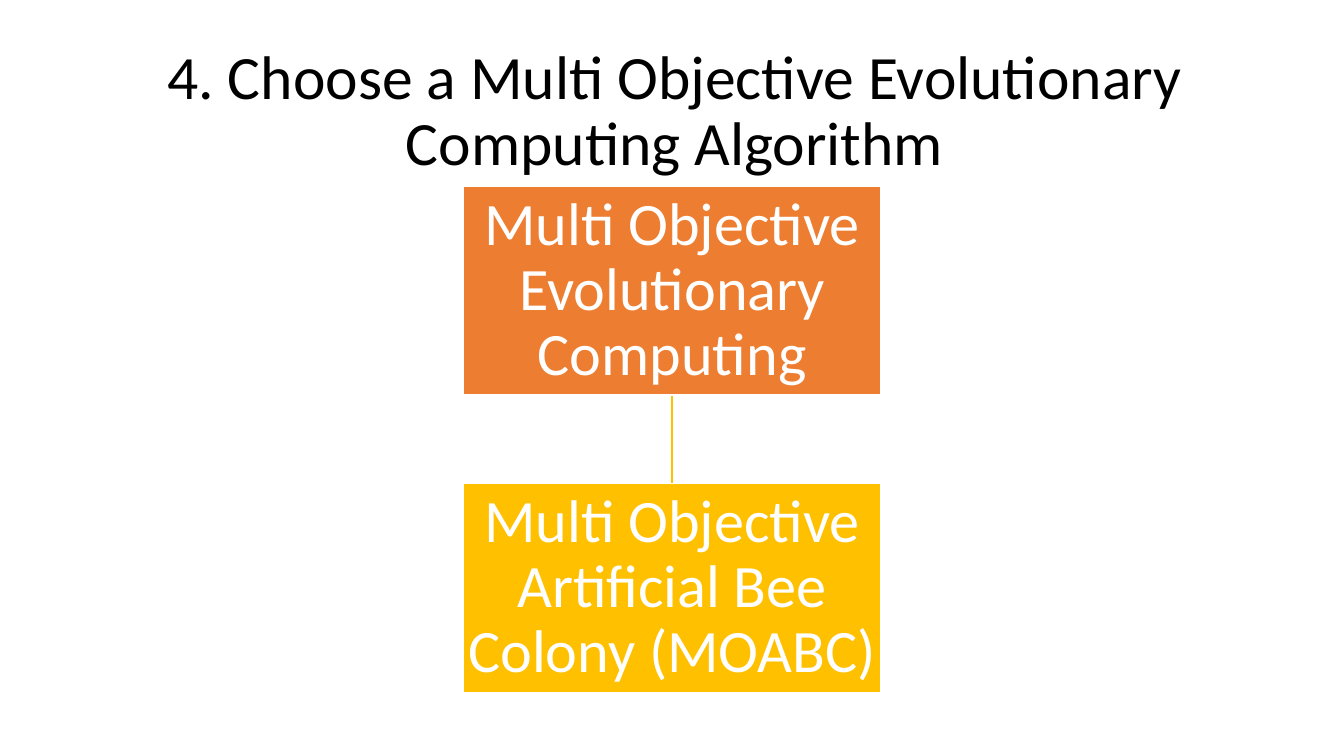
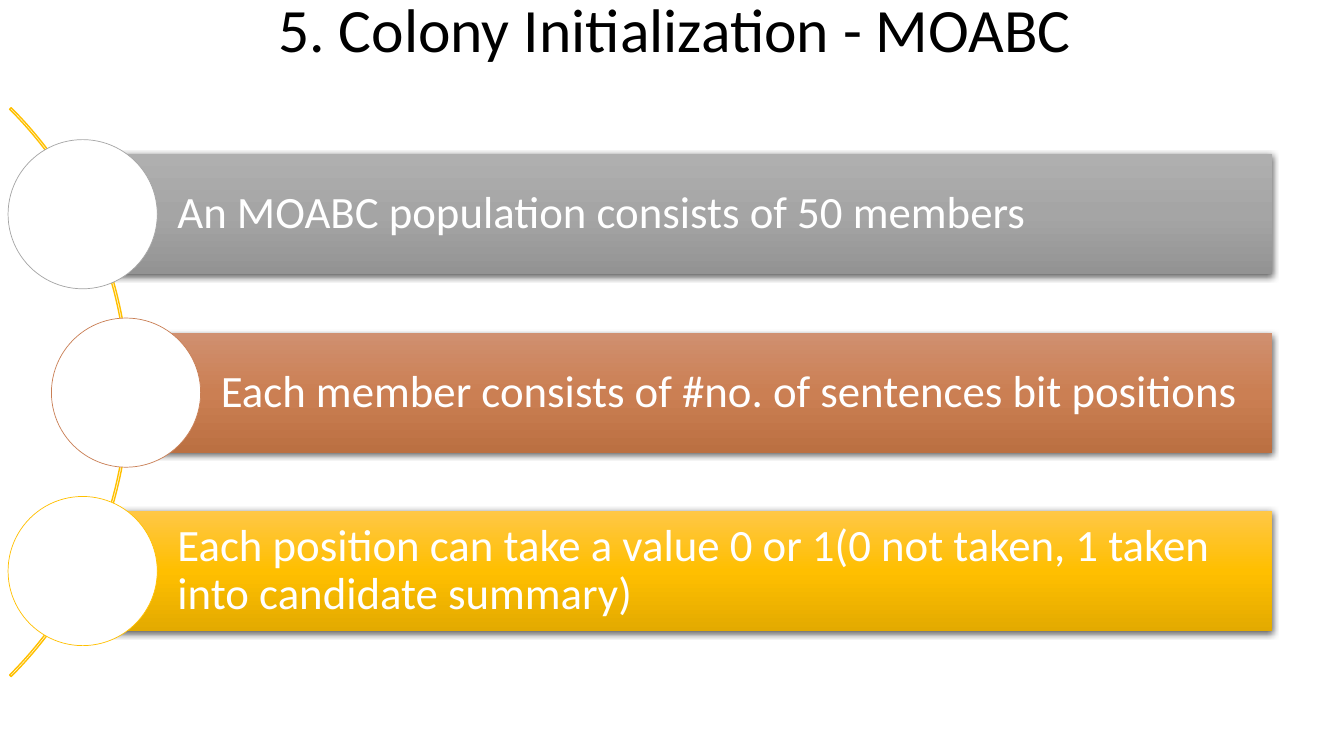
from lxml import etree
from pptx import Presentation
from pptx.dml.color import RGBColor
from pptx.enum.shapes import MSO_CONNECTOR, MSO_SHAPE
from pptx.enum.text import MSO_ANCHOR, MSO_AUTO_SIZE, PP_ALIGN
from pptx.oxml import parse_xml
from pptx.oxml.ns import nsdecls, qn
from pptx.util import Inches, Pt

COLORS = {
    "black": "000000",
    "white": "FFFFFF",
    "orange": "ED7D31",
    "gold": "FFC000",
    "gray": "A5A5A5",
    "copper": "C97F55",
}
FONT = "Calibri"

prs = Presentation()
prs.slide_width = Inches(13.33)
prs.slide_height = Inches(7.5)


def write(shape, text, size, color, align, insets):
    frame = shape.text_frame
    frame.text = text
    frame.word_wrap = True
    frame.auto_size = MSO_AUTO_SIZE.NONE
    frame.vertical_anchor = MSO_ANCHOR.MIDDLE
    left, other = insets
    frame.margin_left = Inches(left)
    frame.margin_right = frame.margin_top = frame.margin_bottom = Inches(other)
    paragraph = frame.paragraphs[0]
    paragraph.alignment = align
    paragraph.line_spacing = 0.9
    paragraph.font.name = FONT
    paragraph.font.size = Pt(size)
    paragraph.font.color.rgb = RGBColor.from_string(COLORS[color])


def add_titled_slide(text, top):
    slide = prs.slides.add_slide(prs.slide_layouts[5])
    title = slide.shapes.title
    title.left, title.top = Inches(0.92), Inches(top)
    title.width, title.height = Inches(11.5), Inches(1.45)
    write(title, text, 44, "black", PP_ALIGN.CENTER, (0.1, 0.05))
    return slide


algorithm_slide = add_titled_slide("4. Choose a Multi Objective Evolutionary Computing Algorithm", 0.39)
box_left, box_width, box_height = 4.59, 4.15, 2.07
family_top, choice_top = 1.85, 4.8
center = Inches(box_left + box_width / 2)
link = algorithm_slide.shapes.add_connector(
    MSO_CONNECTOR.STRAIGHT, center, Inches(family_top + box_height), center, Inches(choice_top)
)
link.line.color.rgb = RGBColor.from_string(COLORS["gold"])
link.line.width = Pt(1)
etree.SubElement(link._element.spPr, qn("a:effectLst"))

for text, top, color in [
    ("Multi Objective Evolutionary Computing", family_top, "orange"),
    ("Multi Objective Artificial Bee Colony (MOABC)", choice_top, "gold"),
]:
    box = algorithm_slide.shapes.add_shape(
        MSO_SHAPE.RECTANGLE, Inches(box_left), Inches(top), Inches(box_width), Inches(box_height)
    )
    box.shadow.inherit = False
    box.fill.solid()
    box.fill.fore_color.rgb = RGBColor.from_string(COLORS[color])
    box.line.color.rgb = RGBColor.from_string(COLORS["white"])
    box.line.width = Pt(1)
    write(box, text, 43, "white", PP_ALIGN.CENTER, (0.03, 0.03))

colony_slide = add_titled_slide("5. Colony Initialization - MOABC", -0.4)
arc = colony_slide.shapes.add_shape(
    MSO_SHAPE.BLOCK_ARC, Inches(-6.7), Inches(-0.1), Inches(7.98), Inches(7.98)
)
for index, value in enumerate((189, 27, 0.0027)):
    arc.adjustments[index] = value
arc.shadow.inherit = False
arc.fill.background()
arc.line.color.rgb = RGBColor.from_string(COLORS["gold"])
arc.line.width = Pt(1)

bar_right, bar_height, first_top, pitch = 12.62, 1.19, 1.53, 1.77
circle_size = 1.48
steps = [
    ("An MOABC population consists of 50 members", 0.82, "gray", ("AFAFAF", "A5A5A5", "939393")),
    ("Each member consists of #no. of sentences bit positions", 1.25, "copper", ("D09070", "CB7F53", "BB7042")),
    (
        "Each position can take a value 0 or 1(0 not taken, 1 taken into candidate summary)",
        0.82,
        "gold",
        ("FFC746", "FFBF00", "E3AA00"),
    ),
]
for row, (text, left, outline, shades) in enumerate(steps):
    top = first_top + row * pitch
    bar = colony_slide.shapes.add_shape(
        MSO_SHAPE.RECTANGLE, Inches(left), Inches(top), Inches(bar_right - left), Inches(bar_height)
    )
    stops = "".join(
        f'<a:gs pos="{position}"><a:srgbClr val="{shade}"/></a:gs>'
        for position, shade in zip((0, 50000, 100000), shades)
    )
    bar._element.spPr.append(parse_xml(
        f'<a:gradFill {nsdecls("a")} rotWithShape="1"><a:gsLst>{stops}</a:gsLst>'
        '<a:lin ang="5400000" scaled="0"/></a:gradFill>'
    ))
    bar.line.fill.background()
    bar._element.spPr.append(parse_xml(
        f'<a:effectLst {nsdecls("a")}><a:outerShdw blurRad="{Pt(4.5)}" dist="{Pt(1.5)}" '
        'dir="5400000" algn="ctr" rotWithShape="0"><a:srgbClr val="000000">'
        '<a:alpha val="63000"/></a:srgbClr></a:outerShdw></a:effectLst>'
    ))
    write(bar, text, 32, "white", PP_ALIGN.LEFT, (0.94, 0.09))

    circle = colony_slide.shapes.add_shape(
        MSO_SHAPE.OVAL,
        Inches(left - circle_size / 2),
        Inches(top + (bar_height - circle_size) / 2),
        Inches(circle_size),
        Inches(circle_size),
    )
    circle.shadow.inherit = False
    circle.fill.solid()
    circle.fill.fore_color.rgb = RGBColor.from_string(COLORS["white"])
    circle.line.color.rgb = RGBColor.from_string(COLORS[outline])
    circle.line.width = Pt(0.5)

prs.save("out.pptx")
